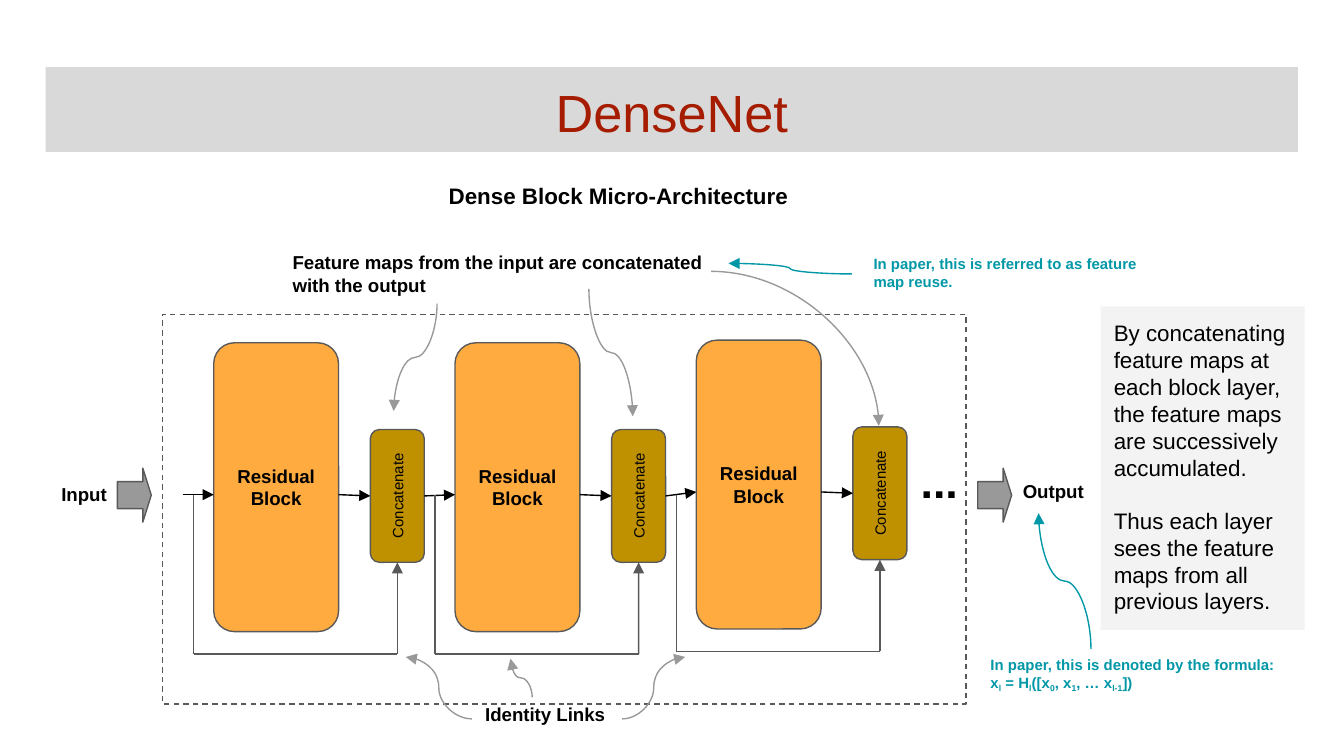
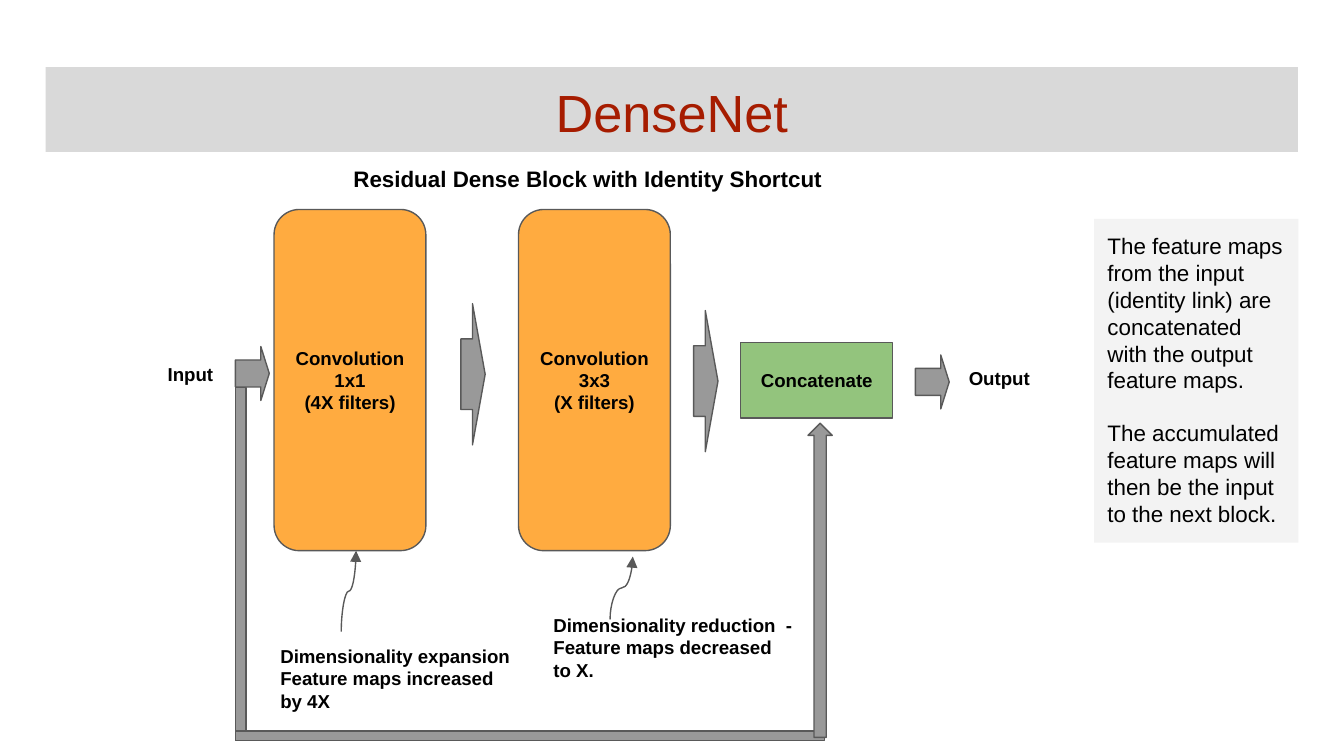
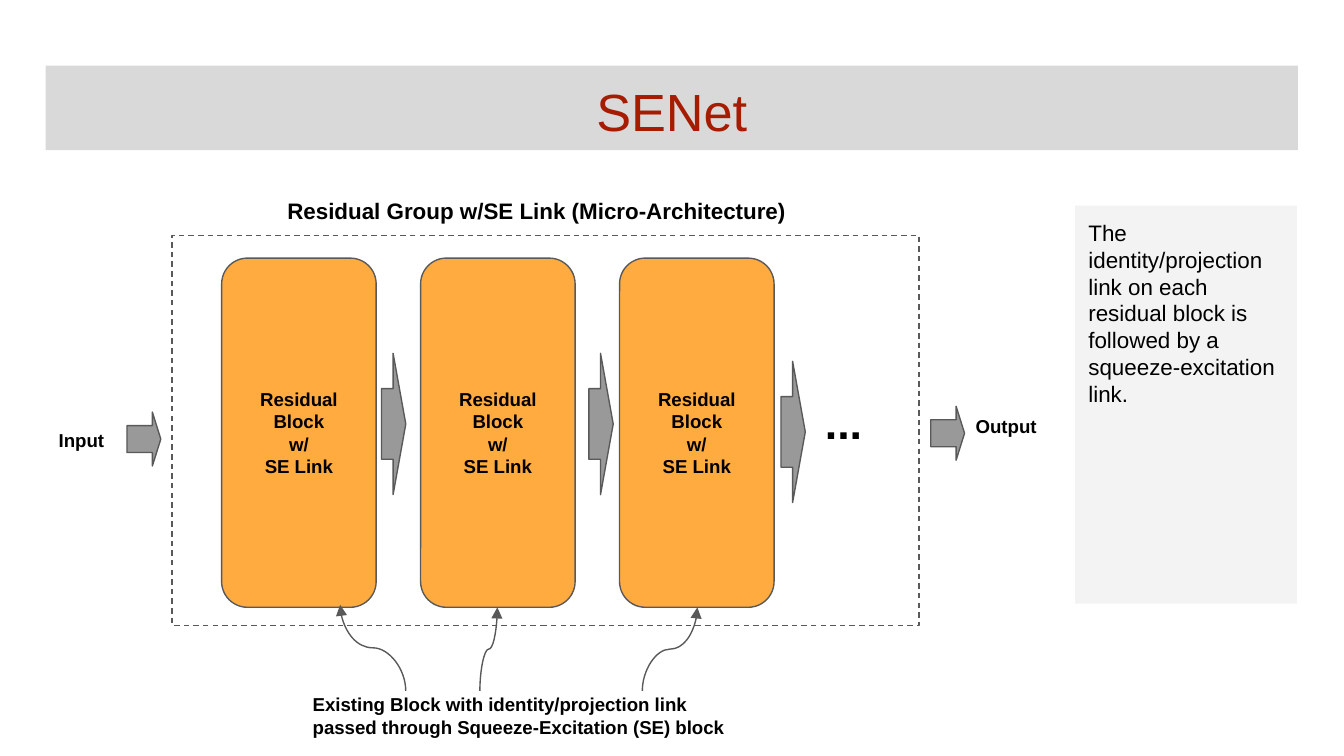
from dataclasses import dataclass

from lxml import etree
from pptx import Presentation
from pptx.dml.color import RGBColor
from pptx.enum import dml, shapes, text
from pptx.oxml import ns
from pptx.util import Cm, Pt


@dataclass(frozen=True)
class Theme:
    font: str = "Arial"
    title: str = "A61C00"
    band: str = "D9D9D9"
    panel: str = "F3F3F3"
    ink: str = "000000"
    outline: str = "595959"
    arrow: str = "999999"
    block: str = "FFAB40"
    joiner: str = "BF9000"
    merge: str = "93C47D"
    paper: str = "0097A7"
    title_size: int = 28
    dots_size: int = 24
    head_size: int = 12
    body_size: int = 10
    small_size: int = 8
    stroke: float = 0.75
    inset: float = 0.25


THEME = Theme()
KIND = shapes.MSO_SHAPE
LEFT, CENTER = text.PP_ALIGN.LEFT, text.PP_ALIGN.CENTER
TOP, MIDDLE = text.MSO_ANCHOR.TOP, text.MSO_ANCHOR.MIDDLE


def put(slide, box, lines=(), kind=None, fill=None, line=None, adjust=(),
        size=THEME.body_size, color=THEME.ink, bold=True, align=LEFT,
        anchor=TOP, gap=0):
    """Place a text box or a preset shape; in a list line, odd parts are subscripts."""
    left, top, width, height = map(Cm, box)
    if kind is None:
        item = slide.shapes.add_textbox(left, top, width, height)
    else:
        item = slide.shapes.add_shape(kind, left, top, width, height)
        item.shadow.inherit = False
        if fill:
            item.fill.solid()
            item.fill.fore_color.rgb = RGBColor.from_string(fill)
        else:
            item.fill.background()
        if line:
            item.line.color.rgb = RGBColor.from_string(line)
            item.line.width = Pt(THEME.stroke)
        else:
            item.line.fill.background()
        for index, value in enumerate(adjust):
            item.adjustments[index] = value

    frame = item.text_frame
    frame.word_wrap = True
    frame.vertical_anchor = anchor
    frame.margin_left = frame.margin_right = Cm(THEME.inset)
    frame.margin_top = frame.margin_bottom = Cm(THEME.inset)
    for number, parts in enumerate(lines):
        paragraph = frame.add_paragraph() if number else frame.paragraphs[0]
        paragraph.alignment = align
        if number and gap:
            paragraph.space_before = Pt(gap)
        for index, part in enumerate([parts] if isinstance(parts, str) else parts):
            run = paragraph.add_run()
            run.text = part
            run.font.name = THEME.font
            run.font.size = Pt(size)
            run.font.bold = bold
            run.font.color.rgb = RGBColor.from_string(color)
            if index % 2:
                run.font._element.set("baseline", "-25000")
    return item


def link(slide, start, end, route="straight", color=THEME.outline, head=True):
    """Draw a connector; a curved route leaves "across", "down" (or up) or as a "quarter"."""
    (x1, y1), (x2, y2) = start, end
    turn = None
    if route == "down":
        # The bounding box is stored lying on its side and then turned.
        leftwards, upwards = x2 < x1, y2 < y1
        turn = 90 if leftwards else 270
        mid_x, mid_y = (x1 + x2) / 2, (y1 + y2) / 2
        half_w, half_h = abs(y2 - y1) / 2, abs(x2 - x1) / 2
        if leftwards == upwards:
            half_w = -half_w
        x1, x2 = mid_x - half_w, mid_x + half_w
        y1, y2 = mid_y - half_h, mid_y + half_h
    style = shapes.MSO_CONNECTOR
    connector = slide.shapes.add_connector(
        style.STRAIGHT if route == "straight" else style.CURVE,
        Cm(x1), Cm(y1), Cm(x2), Cm(y2))
    properties = connector._element.spPr
    if turn:
        properties.xfrm.set("rot", str(turn * 60000))
    if route == "quarter":
        properties.find(ns.qn("a:prstGeom")).set("prst", "curvedConnector2")
    connector.line.color.rgb = RGBColor.from_string(color)
    connector.line.width = Pt(THEME.stroke)
    if head:
        etree.SubElement(connector.line._get_or_add_ln(), ns.qn("a:tailEnd"), type="triangle")
    etree.SubElement(properties, ns.qn("a:effectLst"))
    return connector


deck = Presentation()
deck.slide_width, deck.slide_height = Cm(25.4), Cm(14.29)

# What all slides share: title band, heading, side panel, input and output
pages = [
    ("DenseNet", 1.27,
     "Dense Block Micro-Architecture", (8.23, 3.2, 7.21, 0.91),
     ["By concatenating feature maps at each block layer, the feature maps "
      "are successively accumulated.",
      "Thus each layer sees the feature maps from all previous layers."],
     (20.8, 5.79, 3.86, 6.12),
     (0.91, 8.92), (19.08, 8.86), [(2.22, 8.85), (18.48, 8.85)]),
    ("DenseNet", 1.27,
     "Residual Dense Block with Identity Shortcut", (6.43, 2.87, 13.31, 1.07),
     ["The feature maps from the input (identity link) are concatenated "
      "with the output feature maps.",
      "The accumulated feature maps will then be the input to the next block."],
     (20.68, 4.14, 3.86, 6.12),
     (2.92, 6.65), (18.06, 6.73), [(4.45, 6.55), (17.3, 6.71)]),
    ("SENet", 1.24,
     "Residual Group w/SE Link (Micro-Architecture)", (5.18, 3.48, 11.28, 1.09),
     ["The identity/projection link on each residual block is followed by "
      "a squeeze-excitation link."],
     (20.32, 3.89, 4.19, 7.52),
     (0.86, 7.9), (18.19, 7.62), [(2.4, 7.79), (17.59, 7.68)]),
]
slides = []
for (name, band_top, heading, heading_box, remarks, panel_box,
     input_at, output_at, arrows_at) in pages:
    slide = deck.slides.add_slide(deck.slide_layouts[5])
    slides.append(slide)
    title = slide.shapes.title
    title.left, title.top, title.width, title.height = map(Cm, (0.86, band_top, 23.67, 1.6))
    title.fill.solid()
    title.fill.fore_color.rgb = RGBColor.from_string(THEME.band)
    frame = title.text_frame
    frame.auto_size = text.MSO_AUTO_SIZE.NONE
    frame.vertical_anchor = TOP
    frame.margin_left = frame.margin_right = Cm(THEME.inset)
    frame.margin_top = frame.margin_bottom = Cm(THEME.inset)
    frame.paragraphs[0].alignment = CENTER
    run = frame.paragraphs[0].add_run()
    run.text = name
    run.font.name = THEME.font
    run.font.size = Pt(THEME.title_size)
    run.font.color.rgb = RGBColor.from_string(THEME.title)

    put(slide, heading_box, [heading], size=THEME.head_size)
    put(slide, panel_box, remarks, KIND.RECTANGLE, THEME.panel,
        size=THEME.head_size, bold=False, gap=14)
    put(slide, (*input_at, 1.55, 0.81), ["Input"])
    put(slide, (*output_at, 1.75, 0.81), ["Output"])
    for at in arrows_at:
        put(slide, (*at, 0.64, 1.02), (), KIND.RIGHT_ARROW, THEME.arrow,
            THEME.outline, (0.5, 0.25))

dense, shortcut, senet = slides

# Dashed group and ellipsis of the two micro-architectures
for slide, group_box, dots_box in [
        (dense, (3.07, 5.94, 15.19, 7.37), (17.15, 8.33, 2.67, 1.37)),
        (senet, (3.25, 4.45, 14.12, 7.37), (15.34, 7.21, 3.96, 1.37))]:
    group = put(slide, group_box, (), KIND.RECTANGLE, line=THEME.outline)
    group.line.dash_style = dml.MSO_LINE.DASH
    put(slide, dots_box, ["..."], size=THEME.dots_size)

# Slide 1: three residual blocks, each with its concatenation and identity link
previous = None
for stage in range(3):
    x = 4.04 + 4.56 * stage
    lift = 0.05 if stage == 2 else 0
    flow_y = 9.35 - lift
    link_y = 12.36 - lift
    put(dense, (x, 6.48 - lift, 2.36, 5.46), ["Residual", "Block"],
        KIND.ROUNDED_RECTANGLE, THEME.block, THEME.outline,
        align=CENTER, anchor=MIDDLE)
    concatenate = put(dense, (x + 2.96, 8.12 - lift, 1.02, 2.51), ["Concatenate"],
                      KIND.ROUNDED_RECTANGLE, THEME.joiner, THEME.outline,
                      size=THEME.small_size, bold=False, align=CENTER, anchor=MIDDLE)
    concatenate.text_frame._txBody.bodyPr.set("vert", "vert270")

    entry = link(dense, (x - 0.59, flow_y), (x, flow_y), color=THEME.ink)
    if previous:
        entry.begin_connect(previous, 3)
    passing = link(dense, (x + 2.36, flow_y), (x + 2.96, flow_y), color=THEME.ink)
    passing.end_connect(concatenate, 1)

    link(dense, (x - 0.38, 9.35), (x - 0.38, link_y), head=False)
    link(dense, (x - 0.38, link_y), (x + 3.47, link_y), head=False)
    rise = link(dense, (x + 3.47, link_y), (x + 3.47, 10.63 - lift))
    rise.end_connect(concatenate, 2)
    previous = concatenate

put(dense, (5.28, 4.5, 8.61, 1.57),
    ["Feature maps from the input are concatenated with the output"])
put(dense, (8.92, 13.08, 2.84, 1.02), ["Identity Links"])
put(dense, (16.26, 4.57, 6.02, 1.02),
    ["In paper, this is referred to as feature map reuse."],
    size=THEME.small_size, color=THEME.paper)
put(dense, (18.47, 12.14, 6.02, 1.37),
    ["In paper, this is denoted by the formula:",
     ["x", "l", " = H", "l", "([x", "0", ", x", "1", ", … x", "l-1", "])"]],
    size=THEME.small_size, color=THEME.paper)
for start, end, route, color in [
        ((8.92, 13.59), (7.67, 12.42), "across", THEME.arrow),
        ((11.76, 13.59), (12.95, 12.42), "across", THEME.arrow),
        ((10.06, 13.18), (9.65, 12.45), "down", THEME.arrow),
        ((8.26, 5.74), (7.44, 7.77), "down", THEME.arrow),
        ((11.13, 5.46), (11.96, 7.87), "down", THEME.arrow),
        ((13.44, 5.13), (16.61, 8.05), "quarter", THEME.arrow),
        ((16.1, 5.18), (13.77, 4.98), "across", THEME.paper),
        ((20.62, 12.27), (19.63, 9.7), "down", THEME.paper)]:
    link(dense, start, end, route, color)

# Slide 2: two convolutions, then the concatenation with the shortcut
for x, kernel, filters in [(5.18, "1x1", "(4X filters)"), (9.8, "3x3", "(X filters)")]:
    put(shortcut, (x, 3.96, 2.87, 6.45), ["Convolution", kernel, filters],
        KIND.ROUNDED_RECTANGLE, THEME.block, THEME.outline,
        align=CENTER, anchor=MIDDLE)
put(shortcut, (14, 6.48, 2.87, 1.42), ["Concatenate"], KIND.RECTANGLE,
    THEME.merge, THEME.outline, align=CENTER, anchor=MIDDLE)
for kind, box in [(KIND.RECTANGLE, (4.45, 7.32, 0.2, 6.68)),
                  (KIND.RECTANGLE, (4.45, 13.82, 11.13, 0.18)),
                  (KIND.UP_ARROW, (15.27, 8, 0.46, 5.94))]:
    put(shortcut, box, (), kind, THEME.arrow, THEME.outline)
put(shortcut, (5.05, 11.94, 5.74, 2.01),
    ["Dimensionality expansion", "Feature maps increased", "by 4X"])
put(shortcut, (10.21, 11.35, 5.74, 1.5),
    ["Dimensionality reduction  -", "Feature maps decreased", "to X."])
link(shortcut, (6.45, 11.94), (6.73, 10.41), "down")
link(shortcut, (11.53, 11.71), (11.96, 10.52), "down")

# Slide 3: three blocks with a squeeze-excitation link
for stage in range(3):
    put(senet, (4.19 + 3.76 * stage, 4.88, 2.92, 6.6),
        ["Residual", "Block", "w/", "SE Link"], KIND.ROUNDED_RECTANGLE,
        THEME.block, THEME.outline, align=CENTER, anchor=MIDDLE)
put(senet, (5.66, 12.85, 8.61, 1.09),
    ["Existing Block with identity/projection link "
     "passed through Squeeze-Excitation (SE) block"])
for start, end in [((7.67, 13.06), (6.43, 11.43)),
                   ((9.07, 13.06), (9.4, 11.48)),
                   ((12.14, 13.06), (13.18, 11.48))]:
    link(senet, start, end, "down")

# Tall arrows between the blocks of slides 2 and 3
for slide, x, y in [(shortcut, 8.71, 5.74), (shortcut, 13.11, 5.87),
                    (senet, 7.21, 6.68), (senet, 11.13, 6.68), (senet, 14.76, 6.83)]:
    put(slide, (x, y, 0.46, 2.67), (), KIND.RIGHT_ARROW, THEME.arrow,
        THEME.outline, (0.5, 0.52))

deck.save("out.pptx")
